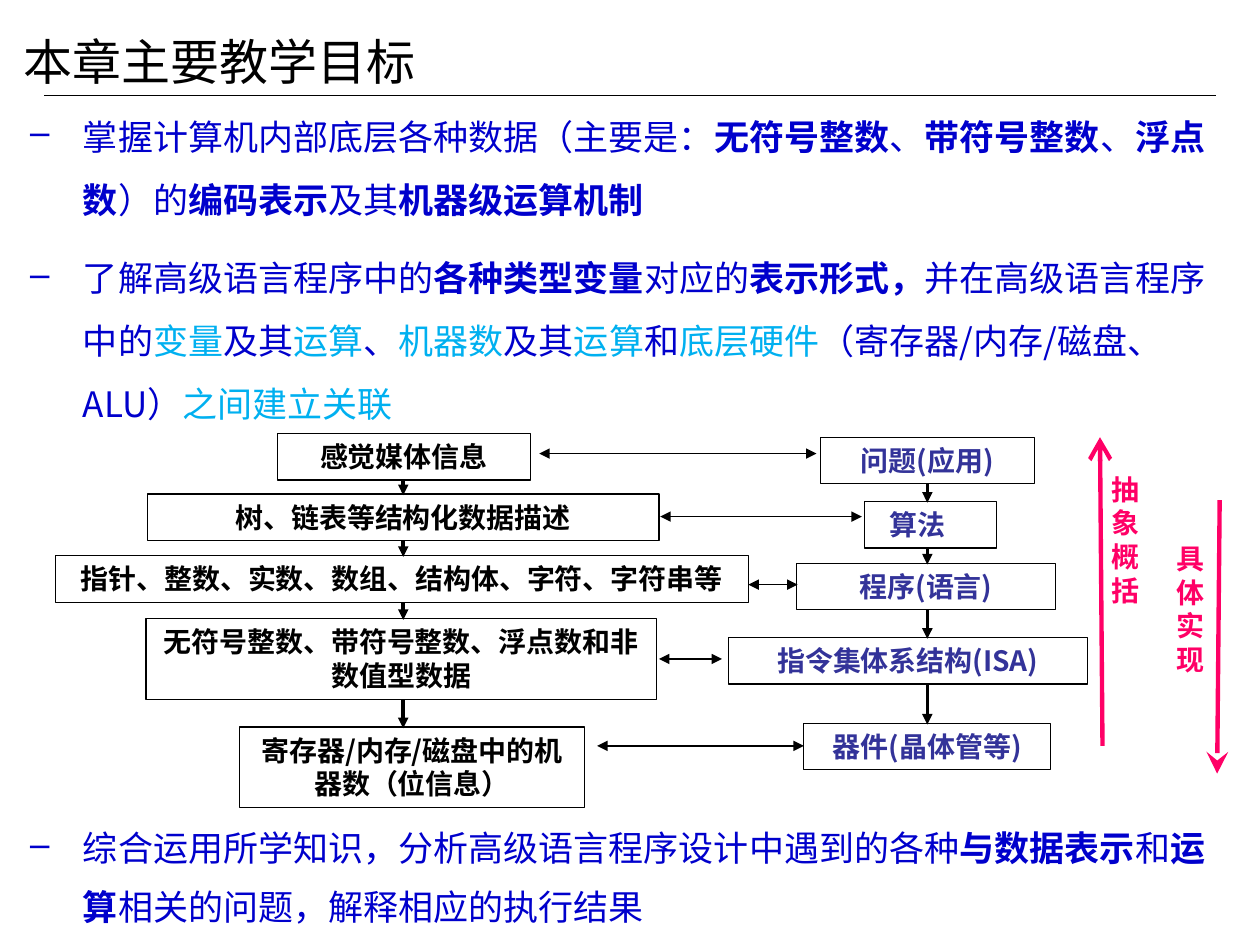
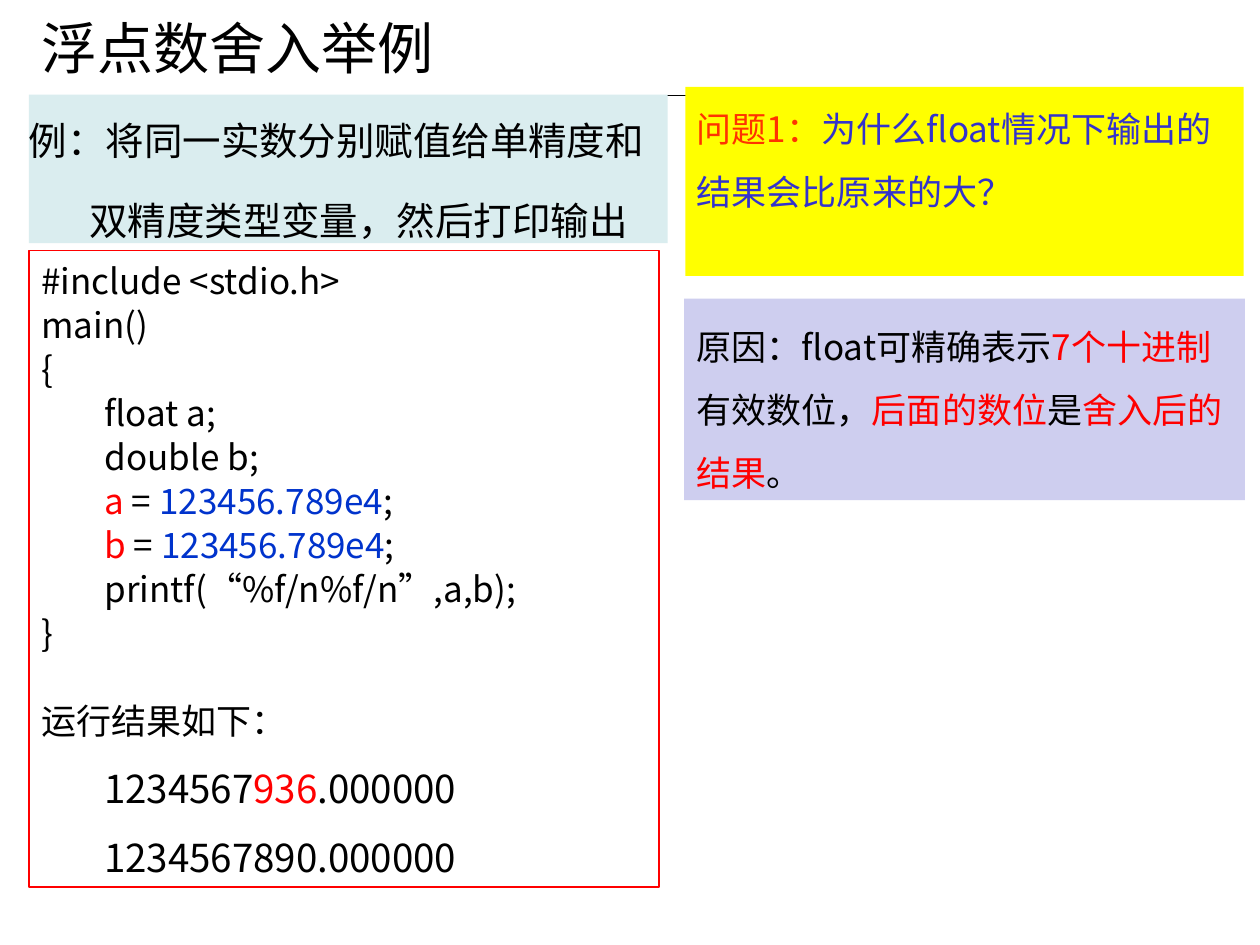
from dataclasses import dataclass, replace
from itertools import pairwise

from lxml.etree import SubElement
from pptx import Presentation
from pptx.dml.color import RGBColor
from pptx.enum.shapes import MSO_CONNECTOR, MSO_SHAPE
from pptx.enum.text import MSO_ANCHOR, PP_ALIGN
from pptx.oxml.ns import qn
from pptx.util import Pt

PX = 9144
CJK = "Noto Sans CJK SC"
COLOURS = {
    "ink": "000000", "goal": "0000CC", "link": "00B0F0", "layer": "333399",
    "trend": "FF0066", "red": "FF0000", "number": "0033CC", "label": "FF3300",
    "question": "3333CC", "example_bg": "DAEDEF", "question_bg": "FFFF00",
    "reason_bg": "CECEEF", "white": "FFFFFF",
}


@dataclass(frozen=True)
class Style:
    """How a paragraph and its runs look."""
    size: int = 20
    colour: str = "ink"
    bold: bool = False
    font: str = CJK
    spacing: float = 1.0
    before: float = 0
    align: PP_ALIGN = PP_ALIGN.LEFT
    indent: int = 0
    hanging: int = 0
    tab: int = 0


def rgb(name):
    """Return the palette colour with this name."""
    return RGBColor.from_string(COLOURS[name])


def strong(text):
    """Mark a run as bold."""
    return text, None, True


def add_paragraph(paragraph, runs, style):
    """Fill one paragraph with runs given as text or (text, colour, bold)."""
    paragraph.alignment = style.align
    paragraph.line_spacing = style.spacing
    paragraph.space_before = Pt(style.before)
    properties = paragraph._p.get_or_add_pPr()
    properties.set("marL", str(style.indent * PX))
    properties.set("indent", str(-style.hanging * PX))
    if style.hanging:
        tint = SubElement(properties, qn("a:buClr"))
        SubElement(tint, qn("a:srgbClr"), val=COLOURS[style.colour])
        SubElement(properties, qn("a:buChar"), char="–")
    if style.tab:
        stops = SubElement(properties, qn("a:tabLst"))
        SubElement(stops, qn("a:tab"), pos=str(style.tab * PX), algn="l")
    for part in runs:
        text, colour, bold = (part, None, None) if isinstance(part, str) else part
        run = paragraph.add_run()
        run.text = text
        run.font.size = Pt(style.size)
        run.font.name = style.font
        run.font.bold = style.bold if bold is None else bold
        run.font.color.rgb = rgb(colour or style.colour)
        SubElement(run._r.get_or_add_rPr(), qn("a:ea"), typeface=CJK)


def add_text(slide, box, paragraphs, fill=None, line=None, insets=(10, 5, 10, 5),
             anchor=MSO_ANCHOR.TOP):
    """Place (runs, style) paragraphs in a text box, or in a rectangle if painted."""
    bounds = [length * PX for length in box]
    if fill or line:
        panel = slide.shapes.add_shape(MSO_SHAPE.RECTANGLE, *bounds)
        panel.shadow.inherit = False
        if fill:
            panel.fill.solid()
            panel.fill.fore_color.rgb = rgb(fill)
        else:
            panel.fill.background()
        if line:
            panel.line.color.rgb = rgb(line)
            panel.line.width = Pt(0.75)
        else:
            panel.line.fill.background()
    else:
        panel = slide.shapes.add_textbox(*bounds)
    frame = panel.text_frame
    frame.word_wrap = True
    frame.vertical_anchor = anchor
    (frame.margin_left, frame.margin_top,
     frame.margin_right, frame.margin_bottom) = [inset * PX for inset in insets]
    for index, (runs, style) in enumerate(paragraphs):
        add_paragraph(frame.add_paragraph() if index else frame.paragraphs[0], runs, style)


def add_line(slide, start, end, width, colour="ink", head=None, tail=None, head_size="med"):
    """Draw a straight connector with optional arrowheads at its ends."""
    connector = slide.shapes.add_connector(
        MSO_CONNECTOR.STRAIGHT, *[length * PX for length in (*start, *end)])
    connector.line.color.rgb = rgb(colour)
    connector.line.width = Pt(width)
    outline = connector.line._get_or_add_ln()
    for tag, kind in (("a:headEnd", head), ("a:tailEnd", tail)):
        if kind:
            SubElement(outline, qn(tag), type=kind, w=head_size, len=head_size)
    SubElement(connector._element.spPr, qn("a:effectLst"))


def add_titled_slide(deck, title, box, size):
    """Start a slide with the shared rule and a title."""
    slide = deck.slides.add_slide(deck.slide_layouts[6])
    add_line(slide, (35, 76), (965, 76), 0.75)
    add_text(slide, box, [([title], Style(size=size, font="Arial"))],
             anchor=MSO_ANCHOR.MIDDLE)
    return slide


def add_goals(slide, box, goals, spacing):
    """List teaching goals with dashes."""
    style = Style(colour="goal", spacing=spacing, before=8.8, indent=42, hanging=42)
    add_text(slide, box, [(runs, style) for runs in goals])


def add_ladder(slide, box, axis, steps, style):
    """Stack boxes from (left, top, width, height, text) and join them downwards."""
    left, top, _, _ = box
    for x, y, width, height, text in steps:
        inset = 0 if "ISA" in text else 10
        own = replace(style, align=PP_ALIGN.LEFT, indent=10) if text == "算法" else style
        add_text(slide, (left + x, top + y, width, height), [([text], own)],
                 line="ink", insets=(inset, 5, inset, 5))
    for upper, lower in pairwise(steps):
        add_line(slide, (left + axis, top + upper[1] + upper[3]),
                 (left + axis, top + lower[1] + 1), 2, tail="triangle")


def add_levels(slide, box):
    """Show data forms beside system layers, with the links between them."""
    left, top, width, height = box
    style = Style(size=16, bold=True, align=PP_ALIGN.CENTER)
    add_ladder(slide, (left, top, 550, height), 276, [
        (176, 0, 201, 37, "感觉媒体信息"),
        (73, 48, 406, 37, "树、链表等结构化数据描述"),
        (0, 97, 550, 37, "指针、整数、实数、数组、结构体、字符、字符串等"),
        (72, 147, 405, 64, "无符号整数、带符号整数、浮点数和非数值型数据"),
        (146, 233, 274, 64, "寄存器/内存/磁盘中的机器数（位信息）"),
    ], style)
    add_ladder(slide, (left + 534, top + 3, 285, height), 158, [
        (73, 0, 170, 37, "问题(应用)"),
        (108, 51, 105, 37, "算法"),
        (54, 100, 206, 37, "程序(语言)"),
        (0, 159, 285, 37, "指令集体系结构(ISA)"),
        (60, 227, 196, 37, "器件(晶体管等)"),
    ], replace(style, colour="layer"))
    for y, start, end in [(16, 384, 604), (66, 480, 640), (120, 550, 589),
                          (179, 479, 529), (248, 430, 594)]:
        add_line(slide, (left + start, top + y), (left + end, top + y), 1,
                 head="triangle", tail="triangle")
    add_trends(slide, (left + 828, top + 3, width - 828, 267))


def add_trends(slide, box):
    """Draw the upward abstraction and downward realisation arrows."""
    left, top, width, height = box
    style = Style(size=16, colour="trend", bold=True, font="Times New Roman")
    add_line(slide, (left + 1, top), (left + 3, top + 245), 2.5, "trend",
             head="arrow", head_size="lg")
    add_line(slide, (left + width, top + 50), (left + width - 2, top + height), 2.5,
             "trend", tail="stealth", head_size="lg")
    for x, y, text in [(0, 23, "抽象概括"), (52, 78, "具体实现")]:
        add_text(slide, (left + x, top + y, 46, 117), [([text], style)])


def add_program(slide, box):
    """Show the C program and the output it prints."""
    code = Style(spacing=1.05, tab=100)
    output = replace(code, size=22, spacing=1.5)
    assignments = [["\t", (name, "red", None), " = ", ("123456.789e4", "number", None), ";"]
                   for name in "ab"]
    lines = [["#include <stdio.h>"], ["main()"], ["{"], ["\tfloat a;"], ["\tdouble b;"],
             *assignments, ["\tprintf(“%f/n%f/n”,a,b);"], ["}"]]
    add_text(slide, box, [
        *[(runs, code) for runs in lines],
        (["运行结果如下："], replace(code, before=25)),
        (["\t1234567", ("936", "red", None), ".000000"], output),
        (["\t1234567890.000000"], output),
    ], fill="white", line="red")


def add_example(slide, box):
    """State the example above the program."""
    style = Style(size=22, spacing=1.5, before=6)
    add_text(slide, box, [
        (["例：将同一实数分别赋值给单精度和"], style),
        (["双精度类型变量，然后打印输出"], replace(style, indent=48)),
    ], fill="example_bg", insets=(0, 0, 0, 0), anchor=MSO_ANCHOR.MIDDLE)


def add_discussion(slide, box):
    """Put the question above its reason."""
    left, top, width, _ = box
    style = Style(spacing=1.5)
    add_text(slide, (left + 1, top, width - 2, 150), [
        ([("问题1：", "label", None), "为什么float情况下输出的结果会比原来的大？"],
         replace(style, colour="question")),
    ], fill="question_bg", insets=(9, 0, 0, 0))
    add_text(slide, (left, top + 168, width, 160), [
        (["原因：float可精确表示", ("7个十进制", "red", None), "有效数位，",
          ("后面的数位", "red", None), "是", ("舍入后的结果", "red", None), "。"], style),
    ], fill="reason_bg")


def build_goals_slide(deck):
    """Build the slide on teaching goals."""
    slide = add_titled_slide(deck, "本章主要教学目标", (9, 20, 400, 57), 28)
    variable, operation, machine, hardware, relate = [
        (text, "link", None)
        for text in ("变量", "运算", "机器数", "底层硬件", "之间建立关联")]
    add_goals(slide, (14, 70, 968, 379), [
        ["掌握计算机内部底层各种数据（主要是：", strong("无符号整数"), "、",
         strong("带符号整数"), "、", strong("浮点数"), "）的", strong("编码表示"),
         "及其", strong("机器级运算机制")],
        ["了解高级语言程序中的", strong("各种类型变量"), "对应的", strong("表示形式，"),
         "并在高级语言程序中的", variable, "及其", operation, "、", machine, "及其",
         operation, "和", hardware, "（寄存器/内存/磁盘、ALU）", relate],
    ], 1.5)
    add_levels(slide, (44, 344, 924, 297))
    add_goals(slide, (14, 638, 969, 102), [
        ["综合运用所学知识，分析高级语言程序设计中遇到的各种", strong("与数据表示"), "和",
         strong("运算"), "相关的问题，解释相应的执行结果"],
    ], 1.4)


def build_rounding_slide(deck):
    """Build the slide on floating-point rounding."""
    slide = add_titled_slide(deck, "浮点数舍入举例", (23, 7, 900, 61), 32)
    add_example(slide, (23, 75, 507, 118))
    add_discussion(slide, (543, 69, 445, 328))
    add_program(slide, (23, 199, 500, 505))


def main():
    """Build and save the deck."""
    deck = Presentation()
    deck.slide_width, deck.slide_height = 1000 * PX, 750 * PX
    build_goals_slide(deck)
    build_rounding_slide(deck)
    deck.save("out.pptx")


if __name__ == "__main__":
    main()
